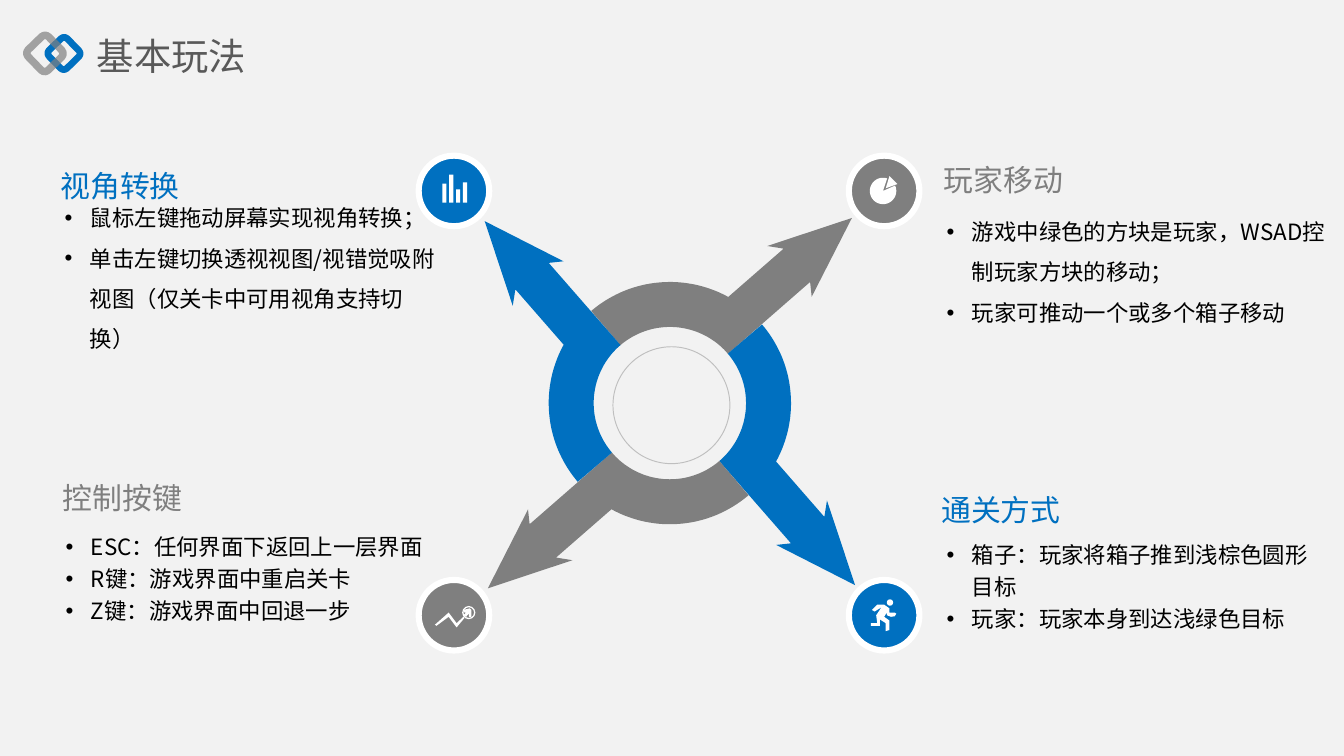
from math import atan2, cos, hypot, radians, sin
from typing import NamedTuple

from lxml.etree import SubElement
from pptx import Presentation
from pptx.dml.color import RGBColor
from pptx.enum.shapes import MSO_SHAPE
from pptx.enum.text import MSO_ANCHOR, PP_ALIGN
from pptx.oxml.ns import qn
from pptx.util import Cm, Pt

FONT = "Noto Sans CJK SC"
BLUE, GREY, WHITE, PALE = "0070C0", "7F7F7F", "FFFFFF", "F2F2F2"
Point = tuple[float, float]


class Box(NamedTuple):
    left: float
    top: float
    width: float
    height: float


class Topic(NamedTuple):
    title: str
    color: str
    head: Box
    body: Box
    pad: tuple[float, float]  # left and right inset
    space: float
    items: list[str]
    align: PP_ALIGN = PP_ALIGN.LEFT


LEFT_PAD, RIGHT_PAD = (1, 0), (0, 1)
TOPICS = [
    Topic("玩家移动", GREY, Box(16.84, 3.07, 6.07, 0.64), Box(16.89, 3.73, 8.26, 2.57),
          LEFT_PAD, 1.5,
          ["游戏中绿色的方块是玩家，WSAD控制玩家方块的移动；", "玩家可推动一个或多个箱子移动"]),
    Topic("控制按键", GREY, Box(1.19, 9.09, 4.8, 0.64), Box(1.24, 9.58, 7.9, 2.62),
          RIGHT_PAD, 1.2,
          ["ESC：任何界面下返回上一层界面", "R键：游戏界面中重启关卡", "Z键：游戏界面中回退一步"]),
    Topic("视角转换", BLUE, Box(-0.2, 3.18, 4.8, 0.64), Box(1.22, 3.38, 8.31, 3.51),
          (0, 1.2), 1.5,
          ["鼠标左键拖动屏幕实现视角转换；",
           "单击左键切换透视视图/视错觉吸附视图（仅关卡中可用视角支持切换）"], PP_ALIGN.RIGHT),
    Topic("通关方式", BLUE, Box(16.79, 9.32, 6.07, 0.64), Box(16.89, 9.12, 8, 3.84),
          LEFT_PAD, 1.2,
          ["箱子：玩家将箱子推到浅棕色圆形目标", "玩家：玩家本身到达浅绿色目标"]),
]

ARROW = [(2.65, -2.29), (2.68, -2.01), (3.44, -3.5), (1.84, -2.97), (2.15, -2.92)]
WEDGE = [(0.1, -0.28), (0.25, -0.13), (0.03, -0.05)]
TREND = [(-0.36, 0.18), (-0.1, -0.05), (0.05, 0.15), (0.18, 0.03),
         (0.2, 0.05), (0.05, 0.23), (-0.1, 0.03), (-0.33, 0.2)]
MARK = [(0.18, -0.1), (0.3, -0.13), (0.33, -0.1), (0.33, 0.03), (0.28, 0.03),
        (0.28, -0.03), (0.23, 0.03), (0.18, 0), (0.23, -0.05), (0.2, -0.05)]
RUNNER = [(0.05, 0), (0.13, 0.03), (0.2, 0.02), (0.23, -0.03), (0.2, -0.05), (0.1, -0.05),
          (0.1, -0.13), (0, -0.2), (-0.13, -0.2), (-0.23, -0.1), (-0.18, -0.07),
          (-0.05, -0.15), (-0.15, 0), (-0.13, 0.15), (-0.25, 0.15), (-0.25, 0.2),
          (-0.08, 0.2), (-0.08, 0.08), (0.03, 0.15), (0.03, 0.3), (0.1, 0.28),
          (0.1, 0.1), (0, 0.03), (0.05, -0.05)]

deck = Presentation()
deck.slide_width, deck.slide_height = Cm(25.4), Cm(14.29)
slide = deck.slides.add_slide(deck.slide_layouts[6])
shapes = slide.shapes


def paint(fill, color: str) -> None:
    fill.solid()
    fill.fore_color.rgb = RGBColor.from_string(color)


def finish(shape, color: str):
    shape.shadow.inherit = False
    paint(shape.fill, color)
    shape.line.fill.background()
    return shape


def add_form(kind: MSO_SHAPE, box: Box, color: str):
    return finish(shapes.add_shape(kind, *map(Cm, box)), color)


def add_disc(mid: Point, size: float, color: str, kind: MSO_SHAPE = MSO_SHAPE.OVAL):
    return add_form(kind, Box(mid[0] - size / 2, mid[1] - size / 2, size, size), color)


def shift(mid: Point, point: Point) -> Point:
    return mid[0] + point[0], mid[1] + point[1]


def add_outline(mid: Point, points: list[Point], color: str) -> None:
    """Draw a closed outline from offsets around a centre."""
    first, *rest = [tuple(map(Cm, shift(mid, point))) for point in points]
    pen = shapes.build_freeform(*first)
    pen.add_line_segments(rest, close=True)
    finish(pen.convert_to_shape(), color)


def arc(size: float, start: float, end: float, steps: int = 40) -> list[Point]:
    """List points along an arc, with angles in degrees."""
    turns = [radians(start + (end - start) * i / steps) for i in range(steps + 1)]
    return [(size * cos(turn), size * sin(turn)) for turn in turns]


def rotate(point: Point, angle: float) -> Point:
    size, turn = hypot(*point), atan2(point[1], point[0]) + radians(angle)
    return size * cos(turn), size * sin(turn)


def style(part, size: float, color: str) -> None:
    for run in part.runs:
        run.font.name, run.font.size = FONT, Pt(size)
        run.font.color.rgb = RGBColor.from_string(color)
        SubElement(run.font._element, qn("a:ea"), typeface=FONT)


def add_text(box: Box, text: str, size: float, color: str,
             pad: tuple[float, float] = (0, 0), edge: float = 0, wrap: bool = True):
    frame = shapes.add_textbox(*map(Cm, box)).text_frame
    frame.word_wrap, frame.vertical_anchor = wrap, MSO_ANCHOR.MIDDLE
    frame.margin_left, frame.margin_right = map(Cm, pad)
    frame.margin_top = frame.margin_bottom = Cm(edge)
    frame.text = text
    for part in frame.paragraphs:
        style(part, size, color)
    return frame


def add_topic(topic: Topic) -> None:
    head = add_text(topic.head, topic.title, 16, topic.color, topic.pad, wrap=False)
    head.paragraphs[0].alignment = topic.align
    body = add_text(topic.body, "\n".join(topic.items), 12, "000000", topic.pad)
    for part in body.paragraphs:
        part.line_spacing = topic.space
        props = part._p.get_or_add_pPr()
        props.set("marL", str(Cm(0.48)))
        props.set("indent", str(Cm(-0.48)))
        SubElement(props, qn("a:buFont"), typeface="Arial")
        SubElement(props, qn("a:buChar"), char="•")


def add_badge(mid: Point, color: str) -> None:
    add_disc(mid, 1.3, color)
    add_disc(mid, 1.45, WHITE, MSO_SHAPE.DONUT).adjustments[0] = 0.08


def add_link(mid: Point, size: float, width: float, color: str):
    """Draw one tilted link of the title ornament."""
    link = add_disc(mid, size, color, MSO_SHAPE.ROUNDED_RECTANGLE)
    link.fill.background()
    paint(link.line.fill, color)
    link.line.width, link.rotation = Pt(width), 316
    return link


paint(slide.background.fill, PALE)

hub = (12.66, 7.62)
arm = ARROW + arc(2.29, -61.2, -130.5) + arc(1.44, -130.5, -40.4)
for turn, color in enumerate((GREY, BLUE, GREY, BLUE)):
    add_outline(hub, [rotate(point, 90 * turn) for point in arm], color)

west, east, north, south = 8.58, 16.71, 3.61, 11.63
bars, pie, trend, runner = (west, north), (east, north), (west, south), (east, south)
for mid, color in ((bars, BLUE), (pie, GREY), (trend, GREY), (runner, BLUE)):
    add_badge(mid, color)

for i, tall in enumerate((0.36, 0.53, 0.25, 0.38)):
    spot = shift(bars, (-0.22 + 0.13 * i, 0.22 - tall))
    add_form(MSO_SHAPE.RECTANGLE, Box(*spot, 0.08, tall), WHITE)
add_outline(shift(pie, (-0.02, 0)), [(0, 0)] + arc(0.25, -72, -384), WHITE)
add_outline(pie, WEDGE, WHITE)
add_outline(trend, TREND, WHITE)
add_disc(shift(trend, (0.28, -0.05)), 0.25, WHITE, MSO_SHAPE.DONUT).adjustments[0] = 0.1
add_outline(trend, MARK, WHITE)
add_disc(shift(runner, (0.11, -0.24)), 0.12, WHITE)
add_outline(runner, RUNNER, WHITE)

ring = add_disc((12.69, 7.66), 2.21, PALE)
paint(ring.line.fill, "BFBFBF")
ring.line.width = Pt(0.5)

for topic in TOPICS:
    add_topic(topic)
add_text(Box(1.83, 0.51, 6.65, 1.07), "基本玩法", 20, "595959", edge=0.13)

add_link((1.21, 1.01), 0.48, 3.6, BLUE)
veil = add_link((0.85, 1.01), 0.54, 4, "808080")
tint = veil.line.fill._xPr.find(qn("a:solidFill"))[0]
SubElement(tint, qn("a:alpha"), val="69000")

deck.save("out.pptx")
